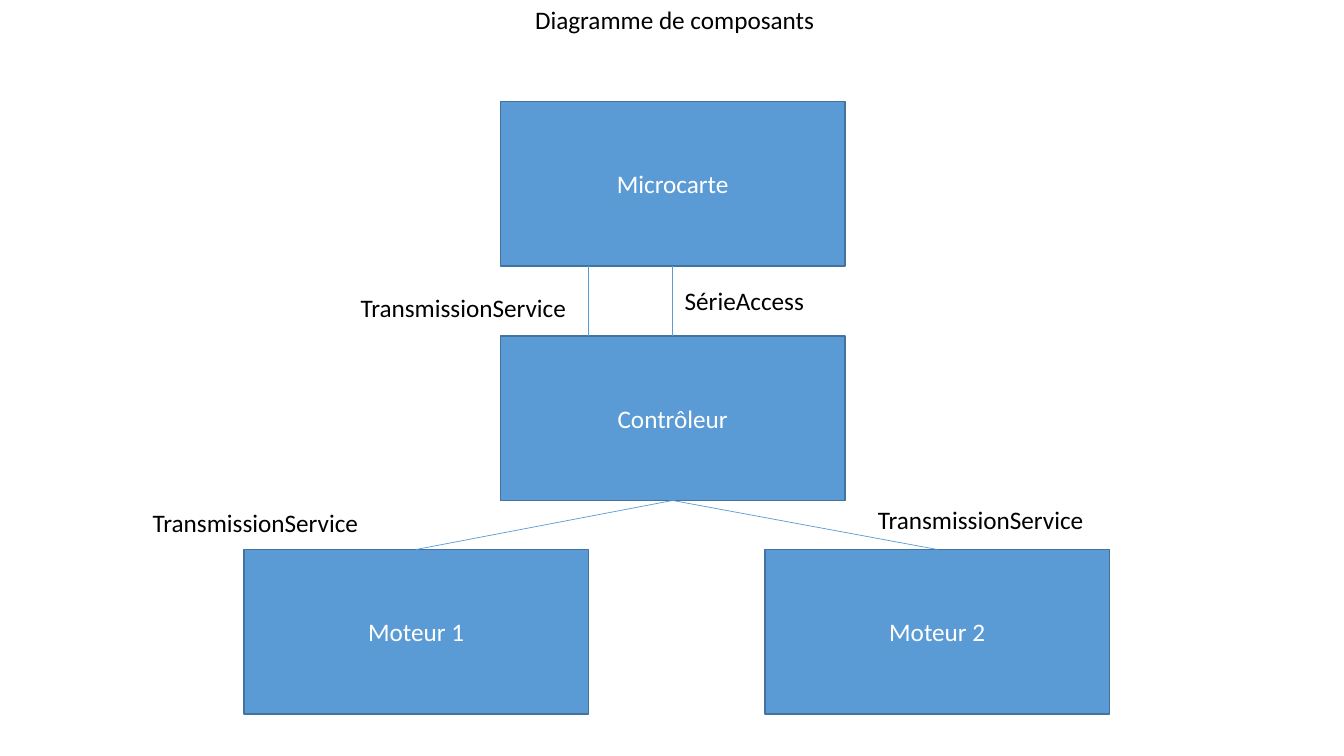
from dataclasses import dataclass
from lxml.etree import SubElement as SubElem
from pptx import Presentation
from pptx.dml.color import RGBColor as RGB
from pptx.enum.shapes import MSO_CONNECTOR as Link, MSO_SHAPE as Shape
from pptx.enum.text import MSO_ANCHOR as Anchor, MSO_AUTO_SIZE as Fit, PP_ALIGN as Align
from pptx.oxml.ns import qn
from pptx.util import Pt


@dataclass(frozen=True)
class Theme:
    font: str = "Calibri"
    size: float = 18
    ink: RGB = RGB(0, 0, 0)
    light: RGB = RGB(255, 255, 255)
    fill: RGB = RGB(0x5B, 0x9B, 0xD5)
    edge: RGB = RGB(0x43, 0x73, 0x9E)
    border: float = 1
    link: float = 0.5


class Board:
    def __init__(self, slide, theme):
        self.slide, self.theme = slide, theme

    def style(self, shape, text, color, align, anchor):
        frame = shape.text_frame
        frame.text = text
        frame.word_wrap = True
        frame.auto_size = Fit.NONE
        frame.vertical_anchor = anchor
        para = frame.paragraphs[0]
        para.alignment = align
        font = para.runs[0].font
        font.name, font.size = self.theme.font, Pt(self.theme.size)
        font.color.rgb = color

    def title(self, text, left, top, width, height):
        shape = self.slide.shapes.title
        shape.left, shape.top = Pt(left), Pt(top)
        shape.width, shape.height = Pt(width), Pt(height)
        self.style(shape, text, self.theme.ink, Align.LEFT, Anchor.TOP)

    def label(self, text, left, top):
        shape = self.slide.shapes.add_textbox(Pt(left), Pt(top), Pt(340), Pt(29))
        self.style(shape, text, self.theme.ink, Align.LEFT, Anchor.TOP)

    def box(self, text, left, top, width, height):
        shape = self.slide.shapes.add_shape(
            Shape.RECTANGLE, Pt(left), Pt(top), Pt(width), Pt(height))
        shape.shadow.inherit = False
        shape.fill.solid()
        shape.fill.fore_color.rgb = self.theme.fill
        shape.line.color.rgb = self.theme.edge
        shape.line.width = Pt(self.theme.border)
        self.style(shape, text, self.theme.light, Align.CENTER, Anchor.MIDDLE)

    def line(self, x1, y1, x2, y2):
        link = self.slide.shapes.add_connector(
            Link.STRAIGHT, Pt(x1), Pt(y1), Pt(x2), Pt(y2))
        link.line.color.rgb = self.theme.fill
        link.line.width = Pt(self.theme.link)
        SubElem(link._element.spPr, qn("a:effectLst"))


# Slide
deck = Presentation()
deck.slide_width, deck.slide_height = Pt(960), Pt(540)
board = Board(deck.slides.add_slide(deck.slide_layouts[5]), Theme())
board.title("Diagramme de composants", 375, -0.5, 507, 29)

# Components
wide, high = 246, 117.5
mid, top, hub, base = 357.5, 72.5, 240, 392.5
motors = {"Moteur 1": 174.25, "Moteur 2": 546.5}
board.box("Contrôleur", mid, hub, wide, high)
board.box("Microcarte", mid, top, wide, high)
for name, left in motors.items():
    board.box(name, left, base, wide, high)

# Links
axis = mid + wide / 2
side = motors["Moteur 1"] + wide
for x in (axis, side):
    board.line(x, top + high, x, hub)
for left in motors.values():
    board.line(axis, hub + high, left + wide / 2, base)

# Link names
service = "TransmissionService"
for text, left, y in (
    (service, 620, 357),
    ("SérieAccess", 482, 200.5),
    (service, 102, 358.5),
    (service, 250.5, 205),
):
    board.label(text, left, y)

deck.save("out.pptx")
